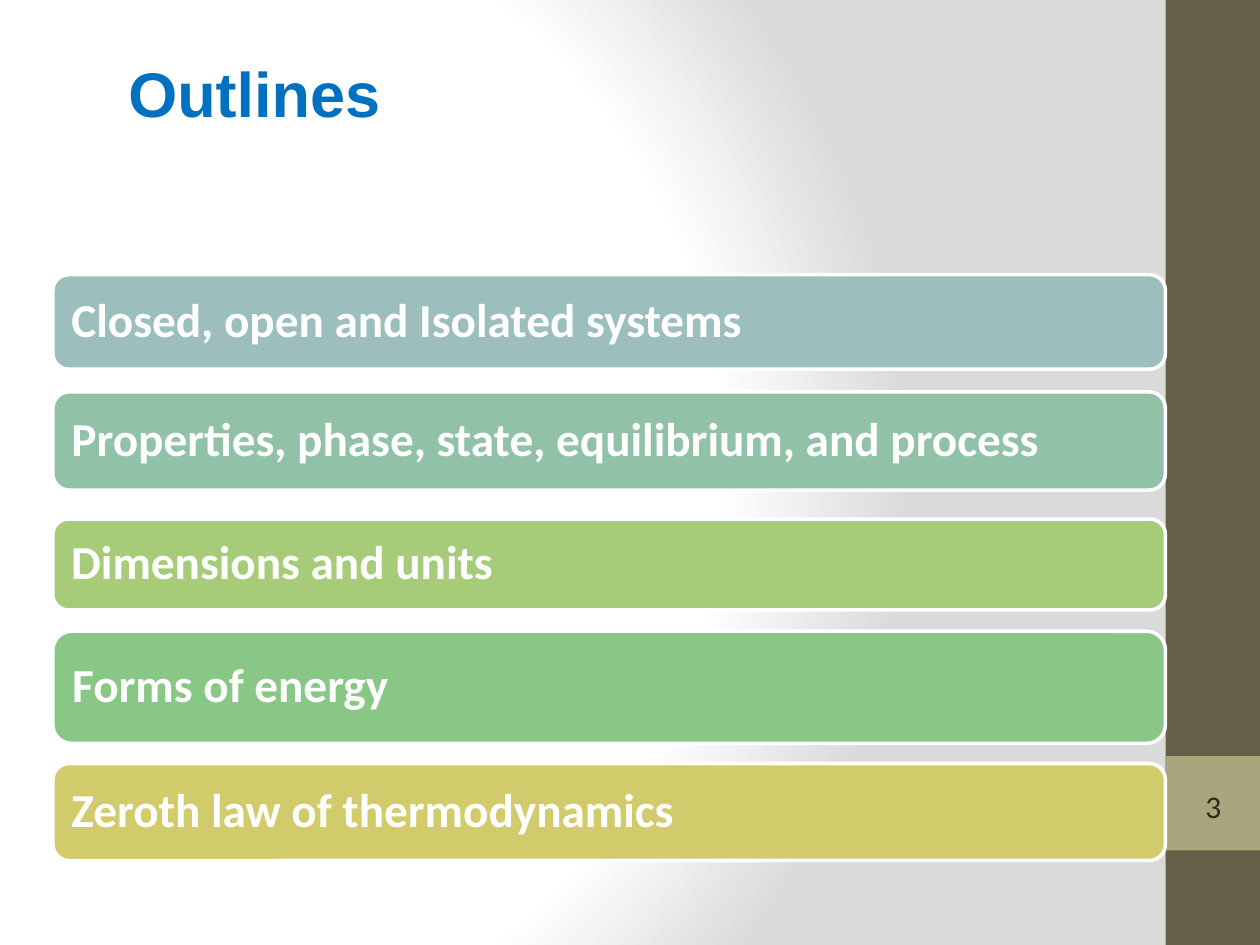
"""Build the Outlines slide: a title, five topic bars and a side band with the page number."""
from lxml import etree
from pptx import Presentation
from pptx.dml.color import RGBColor
from pptx.enum import shapes, text
from pptx.oxml import ns
from pptx.util import Inches, Pt

TITLE = "Outlines"
PAGE_NUMBER = "3"
TOPICS = [
    ("Closed, open and Isolated systems", 2.18, 0.75, "9CBEBD"),
    ("Properties, phase, state, equilibrium, and process", 3.11, 0.78, "91C2A8"),
    ("Dimensions and units", 4.12, 0.72, "A7CC79"),
    ("Forms of energy", 5.01, 0.89, "88C785"),
    ("Zeroth law of thermodynamics", 6.06, 0.77, "D2CB6C"),
]
THEME = {
    "band": "675E47",
    "tab": "A9A57C",
    "outline": "FFFFFF",
    "background": [(0, "FFFFFF"), (75, "FFFFFF"), (100, "DADADA")],
    "focus": {"l": 20, "t": 50, "r": 100, "b": 50},
    "title": {"size": Pt(36), "name": "Arial", "bold": True, "color": "0070C0"},
    "topic": {"size": Pt(27), "name": "Calibri", "bold": True, "color": "FFFFFF"},
    "number": {"size": Pt(18), "name": "Calibri", "bold": False, "color": "2F2B20"},
}
SLIDE_WIDTH, SLIDE_HEIGHT = 10, 7.5
BAND_WIDTH = 0.75
BAND_LEFT = SLIDE_WIDTH - BAND_WIDTH
BAR_LEFT = 0.42
BAR_INSET = 0.11


def paint_background(page):
    """Fill the page with a circular gradient."""
    page.background.fill.gradient()
    gradient = page.element.find(".//" + ns.qn("a:gradFill"))
    for child in list(gradient):
        gradient.remove(child)
    stops = etree.SubElement(gradient, ns.qn("a:gsLst"))
    for percent, color in THEME["background"]:
        stop = etree.SubElement(stops, ns.qn("a:gs"), pos=str(percent * 1000))
        etree.SubElement(stop, ns.qn("a:srgbClr"), val=color)
    circle = etree.SubElement(gradient, ns.qn("a:path"), path="circle")
    focus = {side: str(percent * 1000) for side, percent in THEME["focus"].items()}
    etree.SubElement(circle, ns.qn("a:fillToRect"), focus)


def add_block(page, kind, place, fill=None, outline=None):
    """Add a flat preset shape."""
    block = page.shapes.add_shape(kind, *map(Inches, place))
    block.shadow.inherit = False
    if fill:
        block.fill.solid()
        block.fill.fore_color.rgb = RGBColor.from_string(fill)
    else:
        block.fill.background()
    if outline:
        block.line.color.rgb = RGBColor.from_string(outline)
        block.line.width = Pt(2)
    else:
        block.line.fill.background()
    return block


def write(box, words, style, align, inset=None, wrap=True, anchor=text.MSO_ANCHOR.MIDDLE):
    """Put one styled paragraph in a box."""
    frame = box.text_frame
    frame.word_wrap = wrap
    frame.vertical_anchor = anchor
    if inset is not None:
        for side in ("left", "top", "right", "bottom"):
            setattr(frame, f"margin_{side}", Inches(inset))
    para = frame.paragraphs[0]
    para.alignment = align
    span = para.add_run()
    span.text = words
    for name, value in THEME[style].items():
        if name == "color":
            span.font.color.rgb = RGBColor.from_string(value)
        else:
            setattr(span.font, name, value)
    return para


def main():
    """Create and save the deck."""
    deck = Presentation()
    deck.slide_width, deck.slide_height = Inches(SLIDE_WIDTH), Inches(SLIDE_HEIGHT)
    page = deck.slides.add_slide(deck.slide_layouts[6])
    paint_background(page)

    kinds, align = shapes.MSO_SHAPE, text.PP_ALIGN
    add_block(page, kinds.RECTANGLE, (BAND_LEFT, 0, BAND_WIDTH, SLIDE_HEIGHT), THEME["band"])
    add_block(page, kinds.RECTANGLE, (BAND_LEFT, 6, BAND_WIDTH, BAND_WIDTH), THEME["tab"])
    number = add_block(page, kinds.DOUBLE_BRACKET, (9.33, 6.18, 0.6, 0.43))
    write(number, PAGE_NUMBER, "number", align.CENTER, inset=0)

    title = page.shapes.add_textbox(*map(Inches, (0.92, 0.38, 2.22, 0.71)))
    write(title, TITLE, "title", align.LEFT, wrap=False, anchor=text.MSO_ANCHOR.TOP)
    title.text_frame.auto_size = text.MSO_AUTO_SIZE.SHAPE_TO_FIT_TEXT

    for words, top, height, color in TOPICS:
        place = (BAR_LEFT, top, BAND_LEFT - BAR_LEFT, height)
        bar = add_block(page, kinds.ROUNDED_RECTANGLE, place, color, THEME["outline"])
        write(bar, words, "topic", align.LEFT, BAR_INSET).line_spacing = 0.9

    deck.save("out.pptx")


if __name__ == "__main__":
    main()
